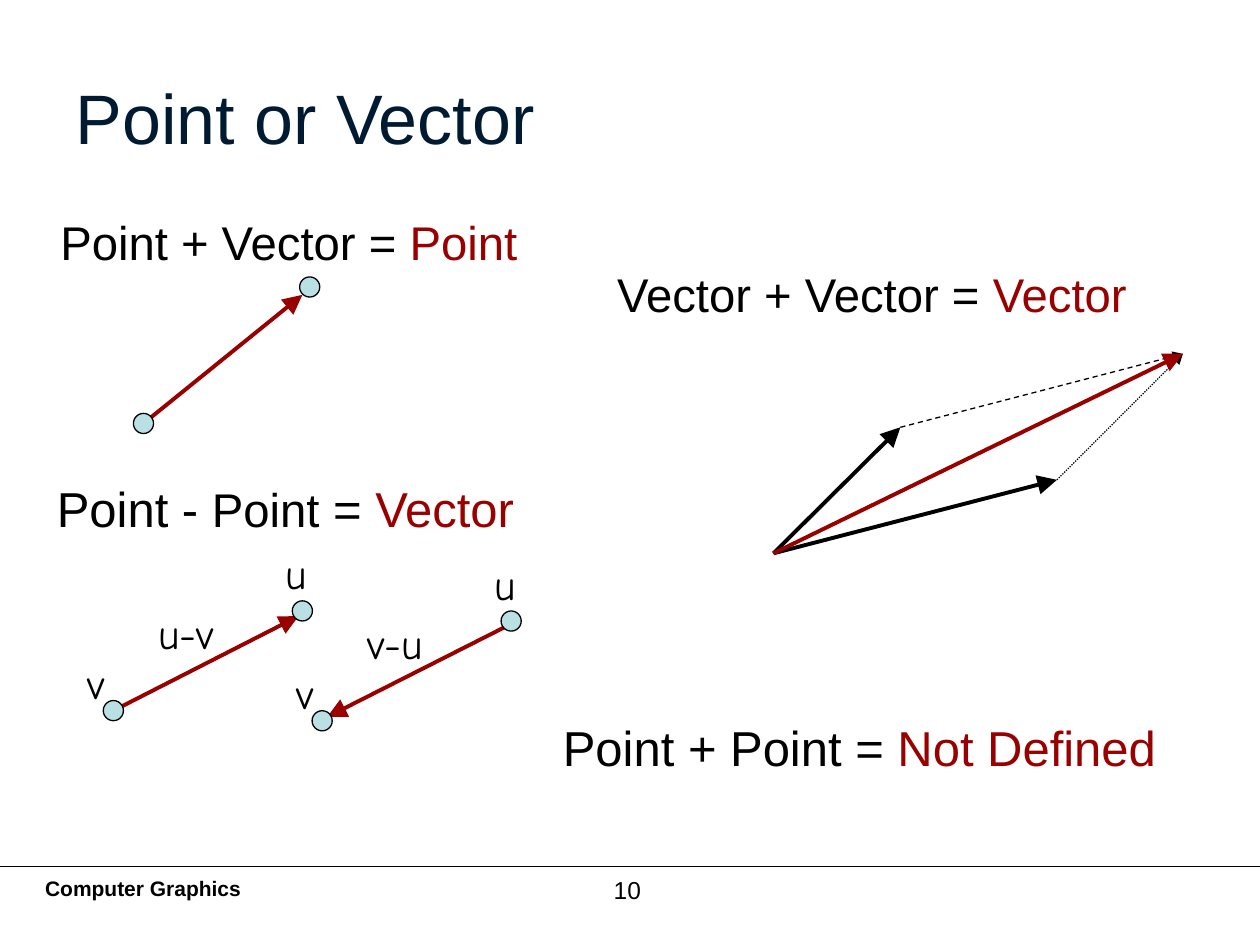
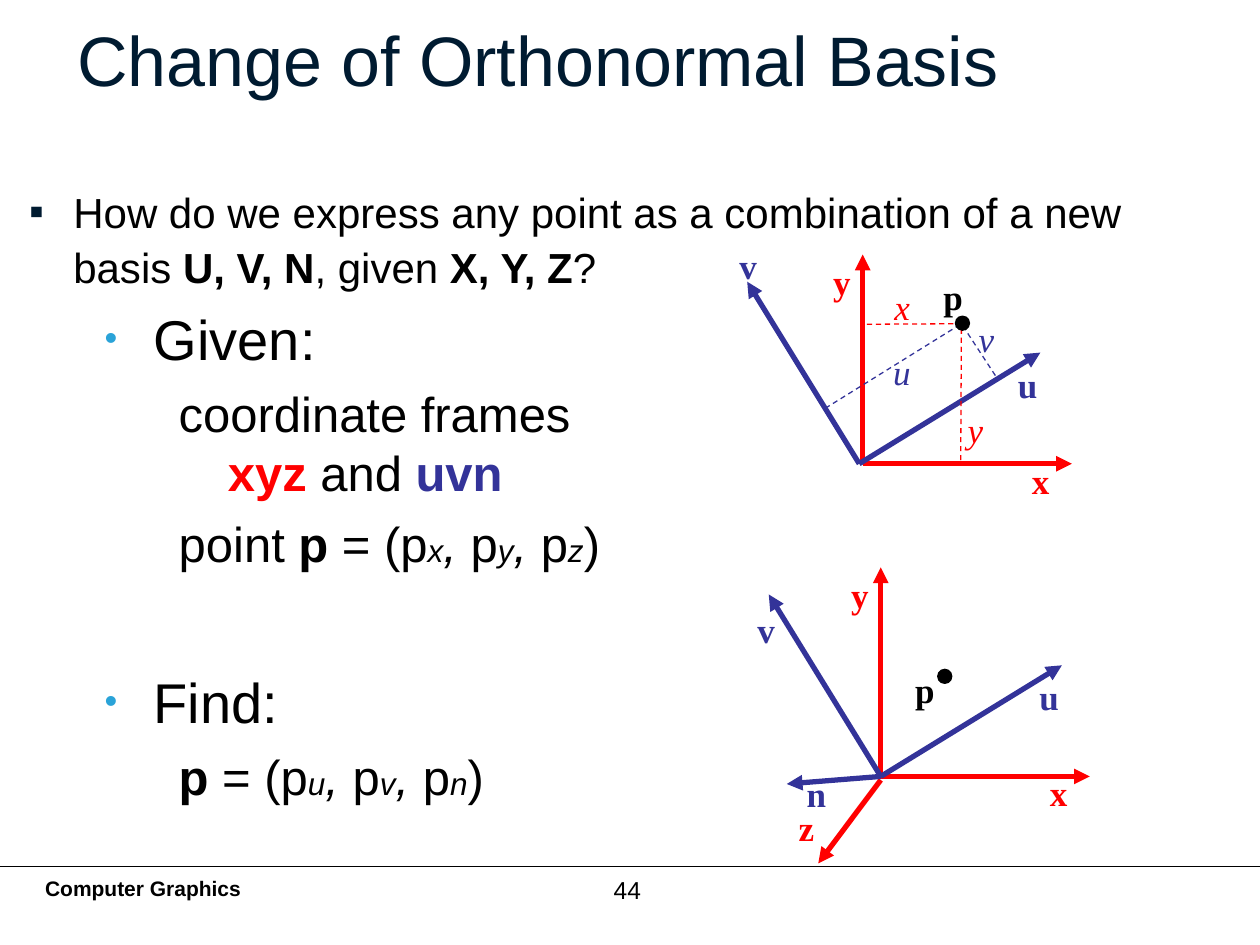
from collections import namedtuple

from lxml.etree import SubElement
from pptx import Presentation
from pptx.dml.color import RGBColor as Rgb
from pptx.enum.dml import MSO_LINE as Dash
from pptx.enum.shapes import MSO_CONNECTOR as Connector, MSO_SHAPE as Shape
from pptx.enum.text import MSO_ANCHOR as Anchor, PP_ALIGN as Align
from pptx.oxml.ns import qn
from pptx.util import Pt

COLORS = {
    "black": "000000",
    "title": "001B31",
    "result": "990000",
    "point": "BBE0E3",
    "bullet": "2AA3D8",
    "xyz": "FF0000",
    "uvn": "333399",
}
SANS, HAND, SERIF = "Arial", "Comic Neue", "Times New Roman"


class Box(namedtuple("Box", "left top width height")):
    """A region in points."""

    def at(self, across, down):
        """Return the page position of a place inside the region."""
        return self.left + across, self.top + down


def color(name):
    """Return a named colour."""
    return Rgb.from_string(COLORS[name])


def write(para, runs, size, font=SANS):
    """Add runs of (text, style) to a paragraph."""
    for text, style in runs:
        span = para.add_run()
        span.text = text
        span.font.name = font
        span.font.size = Pt(style.get("size", size))
        span.font.bold = style.get("bold", False)
        span.font.italic = style.get("italic", False)
        span.font.color.rgb = color(style.get("color", "black"))


def add_frame(page, box, anchor=Anchor.TOP):
    """Add an empty text box and return its text frame."""
    frame = page.shapes.add_textbox(*map(Pt, box)).text_frame
    frame.word_wrap = True
    frame.vertical_anchor = anchor
    return frame


def add_line(page, start, end, ink, width, dash=None, head="med"):
    """Draw a straight line, with an arrowhead of the given size at its end."""
    line = page.shapes.add_connector(Connector.STRAIGHT, *map(Pt, (*start, *end)))
    line.line.color.rgb = color(ink)
    line.line.width = Pt(width)
    if dash:
        line.line.dash_style = dash
    if head:
        outline = line.line._get_or_add_ln()
        SubElement(outline, qn("a:tailEnd"), type="triangle", w=head, len=head)
    SubElement(line._element.spPr, qn("a:effectLst"))


def add_vector(page, start, end, ink="result"):
    """Draw a vector with a large arrowhead."""
    add_line(page, start, end, ink, 2.25, head="lg")


def add_dot(page, center, size, fill):
    """Draw a round point about its centre."""
    left, top = (value - size / 2 for value in center)
    dot = page.shapes.add_shape(Shape.OVAL, *map(Pt, (left, top, size, size)))
    dot.shadow.inherit = False
    dot.fill.solid()
    dot.fill.fore_color.rgb = color(fill)
    dot.line.color.rgb = color("black")
    dot.line.width = Pt(0.75)


def add_hand_label(page, corner, text):
    """Add a handwritten label to a point or vector."""
    frame = add_frame(page, Box(*corner, 64, 36))
    write(frame.paragraphs[0], [(text, {})], 24, HAND)


def add_axis_label(page, corner, text, ink, italic=False):
    """Add a serif label, bold for axes and italic for coordinates."""
    frame = add_frame(page, Box(*corner, 31.5, 31.5))
    style = {"color": ink, "bold": not italic, "italic": italic}
    write(frame.paragraphs[0], [(text, style)], 20, SERIF)


def add_bullet(para, char, ink, percent=100):
    """Give a paragraph a coloured bullet."""
    props = para._p.get_or_add_pPr()
    SubElement(SubElement(props, qn("a:buClr")), qn("a:srgbClr"), val=COLORS[ink])
    SubElement(props, qn("a:buSzPct"), val=str(percent * 1000))
    SubElement(props, qn("a:buFont"), typeface=SANS)
    SubElement(props, qn("a:buChar"), char=char)


def indent(para, margin, hanging):
    """Set a hanging indent."""
    props = para._p.get_or_add_pPr()
    props.set("marL", str(Pt(margin)))
    props.set("indent", str(-Pt(hanging)))


def add_page(deck, title, title_box, number):
    """Add a blank slide with title, footer line, footer and number."""
    page = deck.slides.add_slide(deck.slide_layouts[6])
    footer = add_frame(page, Box(18.7, 496.8, 592, 42))
    write(footer.paragraphs[0], [("Computer Graphics", {"bold": True})], 12)
    add_line(page, (0, 495.2), (720, 495.2), "black", 1, head=None)
    para = add_frame(page, Box(274.5, 496.4, 168, 37.5)).paragraphs[0]
    para.alignment = Align.CENTER
    write(para, [(number, {})], 14)
    heading = add_frame(page, title_box, Anchor.MIDDLE)
    write(heading.paragraphs[0], [(title, {"color": "title"})], 40)
    return page


def add_equation(page, box, terms, result, anchor=Anchor.TOP):
    """Write terms of (text, size) and a red result in the last size."""
    para = add_frame(page, box, anchor).paragraphs[0]
    runs = [(text, {"size": size}) for text, size in terms]
    write(para, runs + [(result, {"color": "result"})], terms[-1][1])
    return para


def add_translation(page, box):
    """Draw a point moved by a vector."""
    add_vector(page, box.at(6, 84), box.at(96.8, 10.5))
    for center in ((6, 84), (101, 6)):
        add_dot(page, box.at(*center), 11.5, "point")


def add_vector_sum(page, box):
    """Draw two vectors, their parallelogram and their sum."""
    start, total = box.at(0, box.height), box.at(box.width, 0)
    first, second = box.at(72.5, 42), box.at(162, 72)
    for tip in (first, second):
        add_vector(page, start, tip, "black")
    add_line(page, first, total, "black", 0.75, Dash.DASH)
    add_line(page, second, total, "black", 0.75, Dash.ROUND_DOT)
    add_vector(page, start, total)


def add_difference(page, box, name, start, end):
    """Draw the points u and v with the vector between them."""
    add_vector(page, box.at(*start), box.at(*end))
    for center in ((21.6, 96.5), (129.6, 39.5)):
        add_dot(page, box.at(*center), 11.5, "point")
    for text, corner in (("v", (0, 62.6)), ("u", (113, 0)), (name, (40.3, 33.8))):
        add_hand_label(page, box.at(*corner), text)


def add_axes(page, box, shift, v_label_top):
    """Draw the xy axes and the uv axes, the latter shifted sideways."""
    axes = (
        ("y", "xyz", (78, 10.5), (54, 10.5), 0),
        ("x", "xyz", (197.5, 130), (167.5, 123.8), 0),
        ("u", "uvn", (181.5, 66.5), (161.5, 69), shift),
        ("v", "uvn", (14, 26), (0.4 - shift, v_label_top), shift),
    )
    for name, ink, tip, label, move in axes:
        moved = box._replace(left=box.left + move)
        add_line(page, moved.at(78, 130), moved.at(*tip), ink, 3)
        add_axis_label(page, moved.at(*label), name, ink)


def add_plane_basis(page, box):
    """Draw the coordinates of p in two dimensions."""
    add_axes(page, box, -2, 1)
    guides = (
        ("xyz", (80.4, 50.3), "x", (89, 24.4)),
        ("xyz", (134, 128), "y", (130.8, 94.7)),
        ("uvn", (153.8, 79.6), "v", (137.2, 42.8)),
        ("uvn", (56.6, 98.3), "u", (88.3, 61.6)),
    )
    for ink, foot, name, label in guides:
        add_line(page, box.at(*foot), box.at(134.4, 50), ink, 0.75, Dash.DASH, None)
        add_axis_label(page, box.at(*label), name, ink, italic=True)
    add_axis_label(page, box.at(117, 19), "p", "black")
    add_dot(page, box.at(135, 49.7), 8, "black")


def add_space_basis(page, box):
    """Draw both frames in three dimensions with the point p."""
    add_axes(page, box, 0, 30.7)
    add_line(page, box.at(78, 132), box.at(42.3, 179.7), "xyz", 3)
    add_axis_label(page, box.at(24, 143.7), "z", "xyz")
    add_line(page, box.at(78, 130), box.at(24.3, 134.3), "uvn", 3)
    add_axis_label(page, box.at(28.6, 124.3), "n", "uvn")
    add_axis_label(page, box.at(90.5, 64.5), "p", "black")
    add_dot(page, box.at(114.6, 72.8), 8, "black")


def coordinates(letters):
    """Return the runs of p written with its coordinates."""
    runs = [("p", {"bold": True}), (" = (", {})]
    for place, letter in enumerate(letters):
        if place:
            runs.append((", ", {"italic": True}))
        runs += [("p", {}), (letter, {"size": 18, "italic": True})]
    return runs + [(")", {})]


def add_question(page, box):
    """Write the question about the new basis."""
    para = add_frame(page, box).paragraphs[0]
    add_bullet(para, "▪", "title")
    indent(para, 25.2, 25.2)
    para.line_spacing = 1.1
    bold = {"bold": True}
    write(para, [
        ("How do we express any point as a combination of a new basis ", {}),
        ("U, V, N", bold),
        (", given ", {}),
        ("X, Y, Z", bold),
        ("?", {}),
    ], 24)


def add_problem(page, box):
    """Write what is given and what is to be found."""
    frame = add_frame(page, box)
    frame.margin_left = frame.margin_top = frame.margin_right = frame.margin_bottom = 0

    def add_heading(para, text):
        """Write a bulleted heading."""
        add_bullet(para, "•", "bullet", 65)
        indent(para, 28.1, 28.1)
        write(para, [(text, {})], 32)

    def add_detail(runs):
        """Write an indented line and return its paragraph."""
        para = frame.add_paragraph()
        para.level = 1
        indent(para, 70.4, 28.1)
        para.space_before = Pt(7)
        write(para, runs, 28)
        return para

    add_heading(frame.paragraphs[0], "Given:")
    frames = add_detail([("coordinate frames", {})])
    frames.add_line_break()
    write(frames, [
        ("xyz", {"color": "xyz", "bold": True}),
        (" and ", {}),
        ("uvn", {"color": "uvn", "bold": True}),
    ], 28)
    add_detail([("point ", {})] + coordinates("xyz"))
    find = frame.add_paragraph()
    find.space_before = Pt(54)
    add_heading(find, "Find:")
    add_detail(coordinates("uvn"))


def build_point_or_vector(deck):
    """Build the slide on sums and differences."""
    page = add_page(deck, "Point or Vector", Box(36.2, 21.6, 648, 90), "10")
    para = add_equation(page, Box(27.4, 107.3, 318, 50.4),
                        [("Point + Vector = ", 27)], "Point", Anchor.BOTTOM)
    para.line_spacing = 1.1
    para.space_after = Pt(6)
    add_translation(page, Box(76, 158, 107, 90))
    add_equation(page, Box(345.6, 148, 374.4, 51),
                 [("Vector + Vector = ", 27)], "Vector")
    add_vector_sum(page, Box(442, 202.2, 234, 114))
    add_equation(page, Box(25.4, 270, 374.4, 51),
                 [("Point - ", 28), ("Point", 27), (" = ", 28)], "Vector")
    add_difference(page, Box(43.2, 309.6, 136, 103), "u-v", (21.6, 96.5), (127.4, 42.5))
    add_difference(page, Box(162.5, 315.4, 136, 103), "v-u", (125.5, 43.2), (24.5, 94.3))
    add_equation(page, Box(314.6, 406.3, 405.4, 51),
                 [("Point + Point = ", 28)], "Not Defined")


def build_change_of_basis(deck):
    """Build the slide on the change of basis."""
    page = add_page(deck, "Change of Orthonormal Basis", Box(37, 3.6, 611.3, 59.8), "44")
    add_question(page, Box(9.6, 100, 685.4, 431.3))
    add_problem(page, Box(59.8, 174, 361.4, 356.4))
    add_plane_basis(page, Box(415, 135, 198, 130))
    add_space_basis(page, Box(425.3, 313.7, 198, 180))


def main():
    """Build and save the deck."""
    deck = Presentation()
    deck.slide_width, deck.slide_height = Pt(720), Pt(540)
    build_point_or_vector(deck)
    build_change_of_basis(deck)
    deck.save("out.pptx")


if __name__ == "__main__":
    main()
